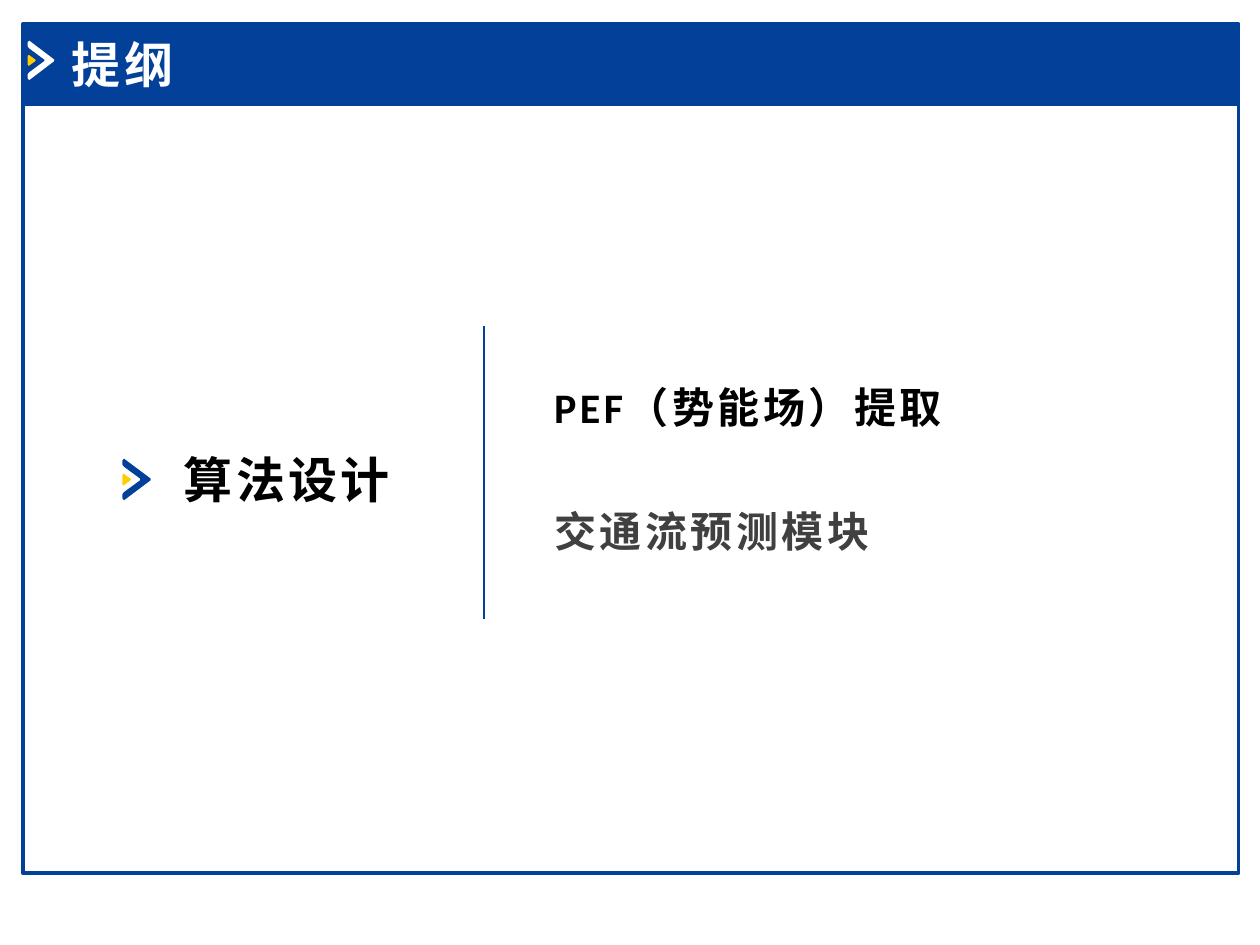
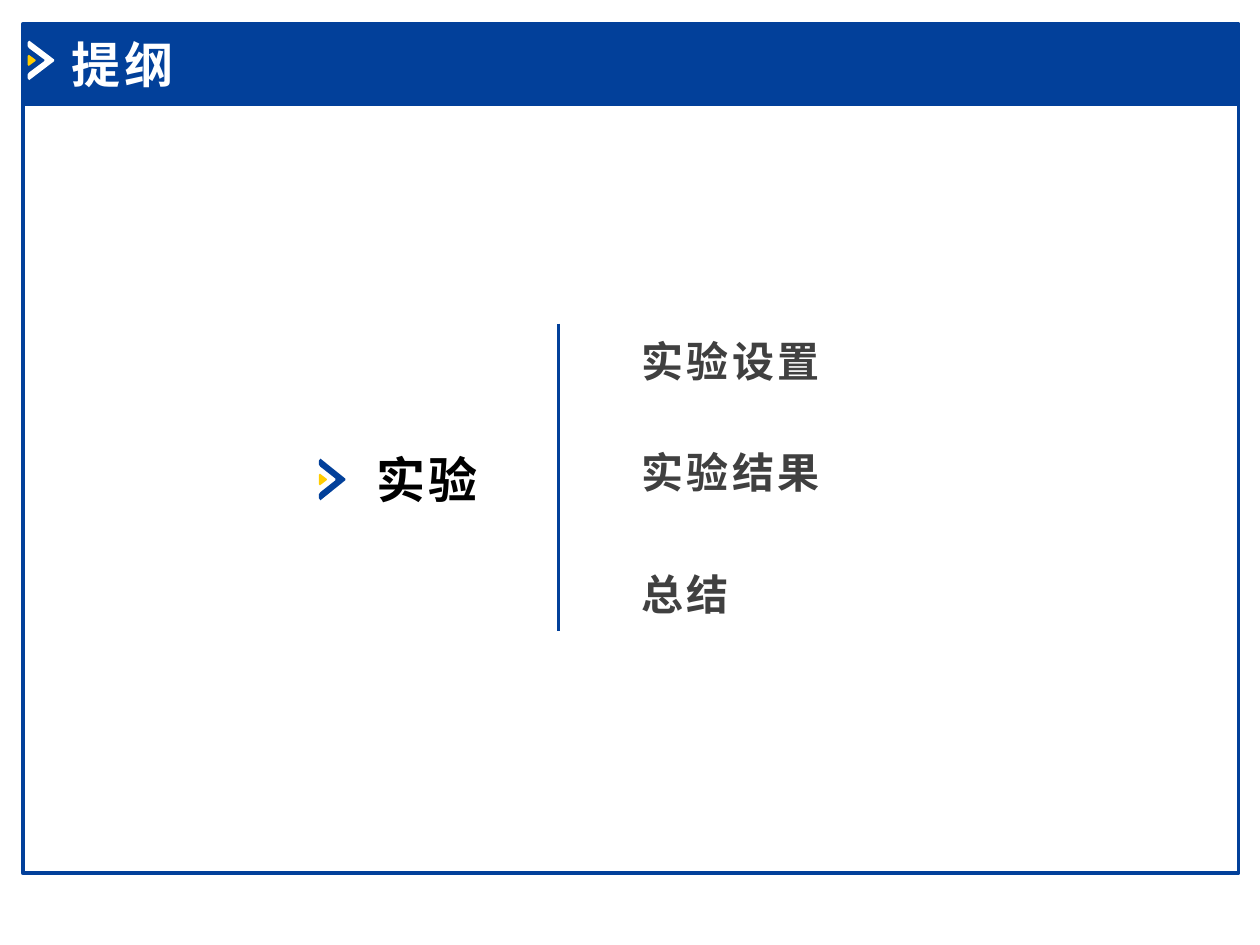
from lxml.etree import SubElement
from pptx import Presentation
from pptx.dml.color import RGBColor
from pptx.enum.shapes import MSO_CONNECTOR, MSO_SHAPE
from pptx.enum.text import MSO_ANCHOR, MSO_AUTO_SIZE, PP_ALIGN
from pptx.oxml.ns import qn
from pptx.util import Pt

COLORS = {"blue": "02409A", "yellow": "FFCC00", "white": "FFFFFF",
          "black": "000000", "gray": "404040"}
LATIN, CJK = "Calibri", "Noto Sans CJK SC"

# Outlines as fractions of the width and height
CHEVRON = [(0.06, 0), (0, 0.05), (0, 0.14), (0.05, 0.19), (0.63, 0.48), (0.63, 0.52),
           (0.05, 0.81), (0, 0.86), (0, 0.95), (0.06, 1), (1, 0.52), (1, 0.48)]
TIP = [(0.15, 0), (0, 0.1), (0, 0.9), (0.15, 1), (1, 0.55), (1, 0.45)]


def rgb(name):
    return RGBColor.from_string(COLORS[name])


def write(tf, text, size=24, color="gray", font=CJK, anchor=MSO_ANCHOR.TOP):
    """Write one bold, letter-spaced, left-aligned line into a text frame."""
    tf.word_wrap = True
    tf.auto_size = MSO_AUTO_SIZE.NONE
    tf.vertical_anchor = anchor
    p = tf.paragraphs[0]
    p.alignment = PP_ALIGN.LEFT
    r = p.add_run()
    r.text = text
    r.font.size, r.font.bold, r.font.name = Pt(size), True, font
    r.font.color.rgb = rgb(color)
    rPr = r._r.get_or_add_rPr()
    rPr.set("spc", "200")
    SubElement(rPr, qn("a:ea"), typeface=CJK)


def add_text(s, text, x, y, w, h, **fmt):
    tb = s.shapes.add_textbox(Pt(x), Pt(y), Pt(w), Pt(h))
    write(tb.text_frame, text, **fmt)


def add_box(s, x, y, w, h, fill=None):
    sp = s.shapes.add_shape(MSO_SHAPE.RECTANGLE, Pt(x), Pt(y), Pt(w), Pt(h))
    sp.shadow.inherit = False
    if fill:
        sp.fill.solid()
        sp.fill.fore_color.rgb = rgb(fill)
    else:
        sp.fill.background()
    sp.line.color.rgb = rgb("blue")
    sp.line.width = Pt(2)


def add_outline(s, outline, x, y, w, h, fill):
    pts = [(Pt(x + fx * w), Pt(y + fy * h)) for fx, fy in outline]
    fb = s.shapes.build_freeform(*pts[0])
    fb.add_line_segments(pts[1:], close=True)
    sp = fb.convert_to_shape()
    sp.shadow.inherit = False
    sp.fill.solid()
    sp.fill.fore_color.rgb = rgb(fill)
    sp.line.fill.background()


def add_marker(s, x, y, w, h, color):
    """Chevron with a small yellow tip inside, centred vertically."""
    add_outline(s, CHEVRON, x, y, w, h, color)
    add_outline(s, TIP, x, y + 0.36 * h, 0.3 * w, 0.28 * h, "yellow")


def add_divider(s, x, top, bottom):
    line = s.shapes.add_connector(MSO_CONNECTOR.STRAIGHT, Pt(x), Pt(top), Pt(x), Pt(bottom))
    line.line.color.rgb = rgb("blue")
    line.line.width = Pt(1.5)
    SubElement(line._element.spPr, qn("a:effectLst"))


def add_outline_slide(prs):
    """Slide with the frame, title band and title that all slides share."""
    s = prs.slides.add_slide(prs.slide_layouts[5])
    add_box(s, 13, 59.8, 694.8, 439.2)
    add_box(s, 13, 13.7, 694.8, 46.1, fill="blue")
    add_marker(s, 15.8, 23.2, 15.2, 22.6, "white")
    title = s.shapes.title
    title.left, title.top, title.width, title.height = Pt(33.8), Pt(15.8), Pt(256.3), Pt(41)
    write(title.text_frame, "提纲", size=28, color="white", font=LATIN,
          anchor=MSO_ANCHOR.MIDDLE)
    s.shapes.element.append(title._element)  # bring the title in front of the band
    return s


def add_section(s, heading, heading_x, marker, divider, topics, topics_x, topics_w):
    marker_x, marker_w = marker
    add_text(s, heading, heading_x, 253.4, 154, 41, size=28, color="black")
    add_marker(s, marker_x, 262.1, marker_w, 23.8, "blue")
    for text, y, fmt in topics:
        add_text(s, text, topics_x, y, topics_w, 36, **fmt)
    add_divider(s, *divider)


def main():
    prs = Presentation()
    prs.slide_width, prs.slide_height = Pt(720), Pt(540)

    # Algorithm design, with the current topic in black
    current = {"color": "black", "font": LATIN}
    add_section(add_outline_slide(prs), "算法设计", 97.9, (69.9, 16.2), (276.5, 186.5, 353.5),
                [("PEF（势能场）提取", 214.6, current), ("交通流预测模块", 285.1, {})],
                309.6, 396)

    # Experiments
    add_section(add_outline_slide(prs), "实验", 208.1, (182.2, 15.1), (319, 185, 360.7),
                [("实验设置", 187.9, {}), ("实验结果", 251.6, {}), ("总结", 321.1, {})],
                359.3, 196)

    prs.save("out.pptx")


if __name__ == "__main__":
    main()
